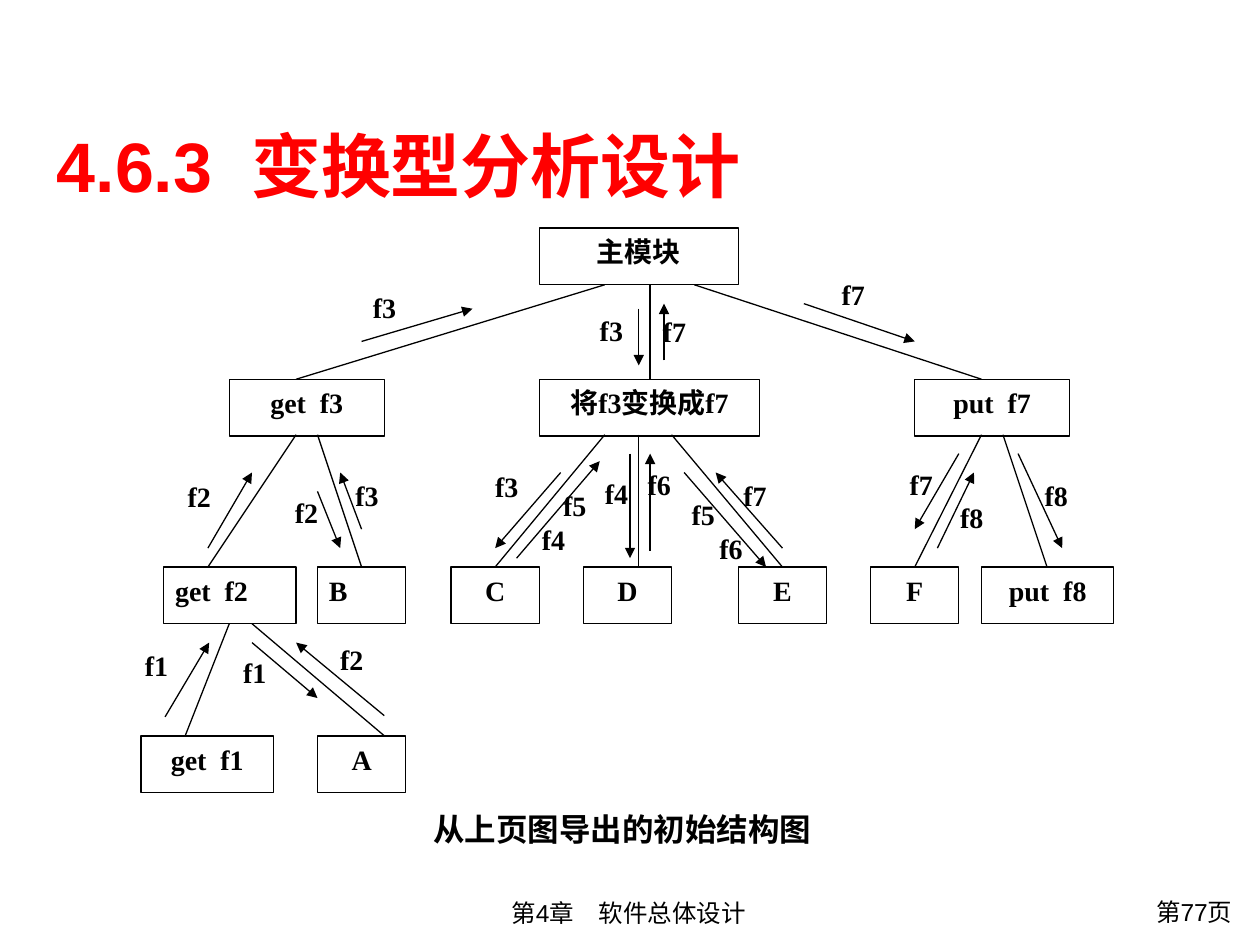
from dataclasses import dataclass

from lxml import etree
from pptx import Presentation
from pptx import util as u
from pptx.dml.color import RGBColor
from pptx.enum import shapes, text
from pptx.oxml.ns import qn


@dataclass(frozen=True)
class Theme:
    ink: str = "000000"
    paper: str = "FFFFFF"
    accent: str = "FF0000"
    sans: str = "Arial"
    serif: str = "Times New Roman"
    title: int = 40
    caption: int = 18
    node: int = 16
    footer: int = 14
    rule: float = 0.75


LEFT, CENTER, RIGHT = text.PP_ALIGN.LEFT, text.PP_ALIGN.CENTER, text.PP_ALIGN.RIGHT
CM_PER_UNIT = 2.54


def cm(*values):
    return [u.Cm(value * CM_PER_UNIT) for value in values]


class Canvas:
    def __init__(self, theme, page):
        self.theme, self.page = theme, page

    def colour(self, value):
        return RGBColor.from_string(value)

    def frame(self, shape, side=0.09, edge=0.05, anchor=text.MSO_ANCHOR.TOP):
        frame = shape.text_frame
        frame.word_wrap = True
        frame.auto_size = text.MSO_AUTO_SIZE.NONE
        frame.vertical_anchor = anchor
        frame.margin_left, frame.margin_right = cm(side, side)
        frame.margin_top, frame.margin_bottom = cm(edge, edge)
        return frame

    def span(self, para, words, size, font, bold=True, colour=None, spacing=None):
        span = para.add_run()
        span.text = words
        span.font.size, span.font.name, span.font.bold = u.Pt(size), font, bold
        span.font.color.rgb = self.colour(colour or self.theme.ink)
        if spacing:
            span.font._element.set("spc", str(spacing))

    def title(self, words, at):
        box = self.page.shapes.title
        box.left, box.top, box.width, box.height = cm(*at)
        para = self.frame(box, 0.1, anchor=text.MSO_ANCHOR.MIDDLE).paragraphs[0]
        para.alignment = LEFT
        self.span(para, words, self.theme.title, self.theme.sans, colour=self.theme.accent)

    def line_of_text(self, spans, at, size, align, bold=False, side=0.1, edge=0.05):
        box = self.page.shapes.add_textbox(*cm(*at))
        para = self.frame(box, side, edge).paragraphs[0]
        para.alignment = align
        for words, spacing in spans:
            self.span(para, words, size, self.theme.sans, bold, spacing=spacing)

    def note(self, at, *lines):
        frame = self.frame(self.page.shapes.add_textbox(*cm(*at)))
        for index, (words, indent) in enumerate(lines):
            para = frame.add_paragraph() if index else frame.paragraphs[0]
            para.alignment = LEFT
            if indent:
                para._p.get_or_add_pPr().set("marL", str(cm(indent)[0]))
            self.span(para, words, self.theme.node, self.theme.serif)

    def node(self, words, at, align=CENTER, outlined=True):
        box = self.page.shapes.add_shape(shapes.MSO_SHAPE.RECTANGLE, *cm(*at))
        box.shadow.inherit = False
        box.fill.solid()
        box.fill.fore_color.rgb = self.colour(self.theme.paper)
        if outlined:
            box.line.color.rgb = self.colour(self.theme.ink)
            box.line.width = u.Pt(self.theme.rule)
        else:
            box.line.fill.background()
        para = self.frame(box).paragraphs[0]
        para.alignment = align
        self.span(para, words, self.theme.node, self.theme.serif)

    def line(self, ends, arrow=False):
        line = self.page.shapes.add_connector(shapes.MSO_CONNECTOR.STRAIGHT, *cm(*ends))
        line.line.color.rgb = self.colour(self.theme.ink)
        line.line.width = u.Pt(self.theme.rule)
        if arrow:
            etree.SubElement(line.line._get_or_add_ln(), qn("a:tailEnd"), type="triangle")
        etree.SubElement(line._element.spPr, qn("a:effectLst"))


ROOT, SECOND, THIRD, FOURTH = 1.81, 3.01, 4.5, 5.84
NODE_HEIGHT = 0.45
ROOT_END, SECOND_END, THIRD_END = 2.26, 3.45, 4.95

FLOW_LABELS = [
    ("f3", 4.67, 2.44), ("f7", 5.17, 2.45), ("f7", 6.59, 2.15), ("f7", 5.81, 3.75),
    ("f3", 3.84, 3.68), ("f2", 2.61, 5.05), ("f1", 1.84, 5.15), ("f1", 1.06, 5.1),
    ("f3", 2.73, 3.75), ("f2", 2.25, 3.88), ("f2", 1.4, 3.76), ("f3", 2.87, 2.26),
]
OPEN_LABELS = [
    ("f8", 8.2, 3.75), ("f8", 7.53, 3.92), ("f7", 7.13, 3.66),
    ("f6", 5.05, 3.66), ("f4", 4.71, 3.73),
]
MODULES = [
    ("主模块", 4.28, ROOT, 1.58, CENTER),
    ("get  f3", 1.82, SECOND, 1.23, CENTER),
    ("将f3变换成f7", 4.28, SECOND, 1.75, CENTER),
    ("put  f7", 7.26, SECOND, 1.23, CENTER),
    ("put  f8", 7.79, THIRD, 1.05, CENTER),
    ("B", 2.52, THIRD, 0.7, LEFT),
    ("C", 3.58, THIRD, 0.7, CENTER),
    ("D", 4.63, THIRD, 0.7, CENTER),
    ("E", 5.86, THIRD, 0.7, CENTER),
    ("F", 6.91, THIRD, 0.7, CENTER),
    ("get  f2", 1.3, THIRD, 1.05, LEFT),
    ("get  f1", 1.12, FOURTH, 1.05, CENTER),
    ("A", 2.52, FOURTH, 0.7, CENTER),
]
CALLS = [
    (ROOT_END, SECOND, [(4.8, 2.35), (5.16, 5.16), (5.51, 7.79)]),
    (SECOND_END, THIRD, [(4.8, 3.93), (5.07, 5.07), (5.33, 6.21), (2.35, 1.65),
                         (2.52, 2.87), (7.79, 7.26), (7.96, 8.31)]),
    (THIRD_END, FOURTH, [(1.82, 1.47), (2, 3.05)]),
]
FLOWS = [
    (2.87, 2.71, 3.75, 2.45), (6.38, 2.41, 7.26, 2.71), (5.07, 2.45, 5.07, 2.9),
    (5.27, 2.86, 5.27, 2.41), (1.65, 4.35, 2, 3.75), (2.52, 3.9, 2.7, 4.35),
    (2.87, 4.2, 2.7, 3.75), (4.45, 3.75, 3.93, 4.35), (4.28, 4.35, 4.28, 4.35),
    (4.1, 4.43, 4.76, 3.66), (5, 3.6, 5, 4.43), (5.16, 4.37, 5.16, 3.6),
    (5.43, 3.75, 6.08, 4.5), (6.21, 4.35, 5.68, 3.75), (7.61, 3.6, 7.26, 4.2),
    (7.44, 4.35, 7.73, 3.75), (8.08, 3.6, 8.43, 4.35), (1.31, 5.69, 1.66, 5.1),
    (2, 5.1, 2.52, 5.54), (3.05, 5.68, 2.35, 5.1),
]


def main():
    deck = Presentation()
    deck.slide_width, deck.slide_height = cm(10, 7.5)
    theme = Theme()
    canvas = Canvas(theme, deck.slides.add_slide(deck.slide_layouts[5]))

    canvas.line_of_text([("第4章", None), (" ", 1100), ("软件总体设计", None)],
                        (2.35, 7.08, 5.28, 0.34), theme.footer, CENTER)
    canvas.title("4.6.3  变换型分析设计", (0.35, 0.83, 9, 0.95))
    for words, left, top in OPEN_LABELS:
        canvas.note((left, top, 0.6, NODE_HEIGHT), (words, 0))
    canvas.note((5.4, 3.9, 0.7, 0.56), ("f5", 0), ("f6", 0.22))
    for words, left, top in FLOW_LABELS:
        canvas.node(words, (left, top, 0.53, NODE_HEIGHT), LEFT, outlined=False)
    for words, left, top, width, align in MODULES:
        canvas.node(words, (left, top, width, NODE_HEIGHT), align)
    for top, bottom, pairs in CALLS:
        for start, end in pairs:
            canvas.line((start, top, end, bottom))
    for ends in FLOWS:
        canvas.line(ends, arrow=True)
    canvas.note((4.21, 3.83, 0.75, 0.54), ("f5", 0.17), ("f4", 0))
    canvas.line_of_text([("从上页图导出的初始结构图", None)], (2.44, 6.43, 5, 0.3),
                        theme.caption, CENTER, bold=True, side=0, edge=0)
    canvas.line_of_text([("第77页", None)], (8.54, 7.07, 1.34, 0.37), theme.footer, RIGHT)
    deck.save("out.pptx")


if __name__ == "__main__":
    main()
